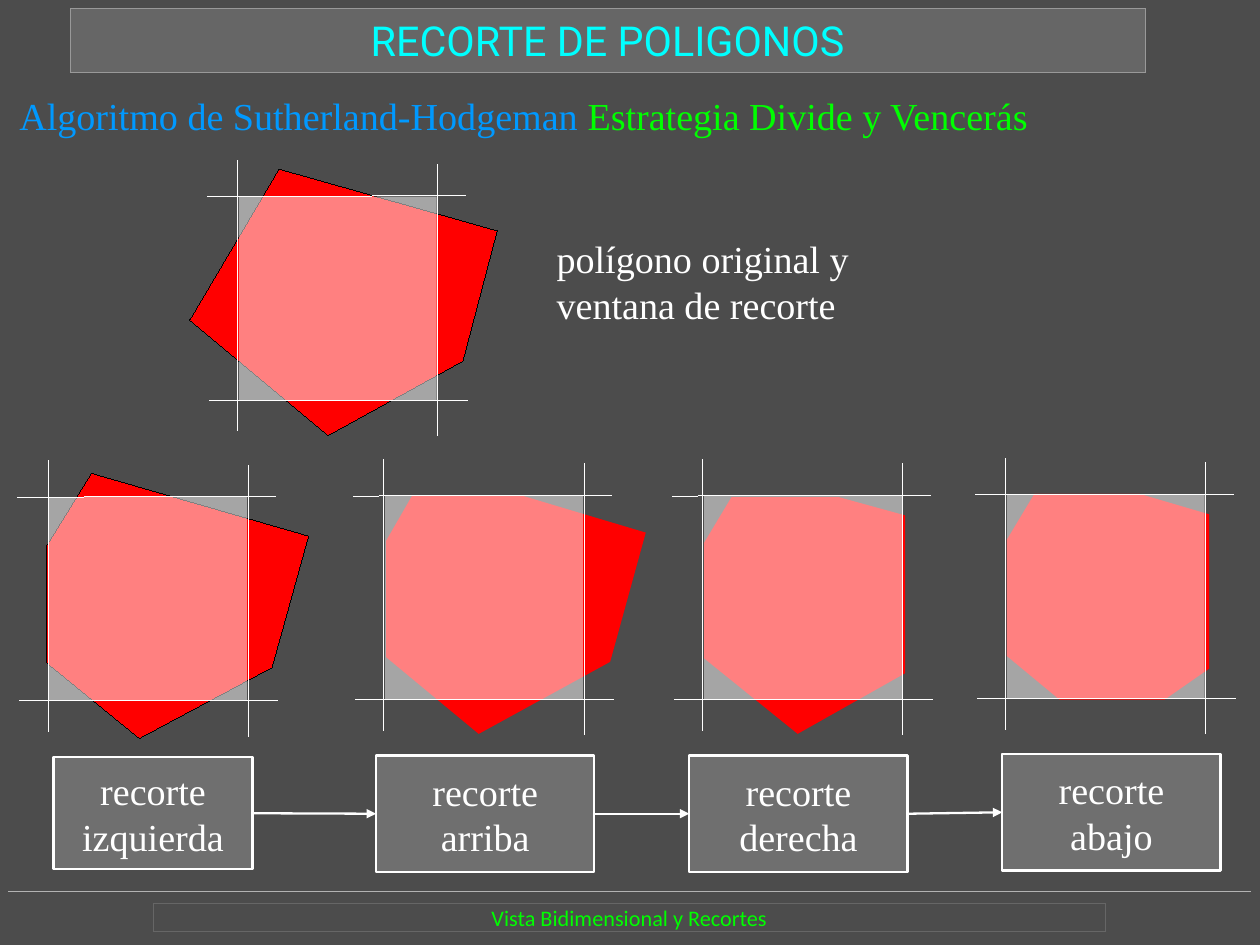
from dataclasses import dataclass

from lxml import etree
from pptx import Presentation
from pptx.dml.color import RGBColor
from pptx.enum.shapes import MSO_CONNECTOR, MSO_SHAPE
from pptx.enum.text import MSO_ANCHOR, PP_ALIGN
from pptx.oxml.ns import qn
from pptx.util import Pt

RECT = MSO_SHAPE.RECTANGLE
LINE = MSO_CONNECTOR.STRAIGHT
LEFT, MID, JUST = PP_ALIGN.LEFT, PP_ALIGN.CENTER, PP_ALIGN.JUSTIFY
TOP, CORE = MSO_ANCHOR.TOP, MSO_ANCHOR.MIDDLE


@dataclass(frozen=True)
class Theme:
    back: str = "4C4C4C"
    panel: str = "666666"
    edge: str = "999999"
    rule: str = "B3B3B3"
    white: str = "FFFFFF"
    black: str = "000000"
    red: str = "FF0000"
    cyan: str = "00FFFF"
    blue: str = "0099FF"
    green: str = "00FF00"
    serif: str = "Times New Roman"
    head: str = "Roboto"
    foot: str = "Calibri"
    big: int = 26
    body: int = 24
    small: int = 14
    hair: float = 0
    bold: float = 1.45


THEME = Theme()
WIN = (124.6, 128.2)

# Clip stages: window corner, polygon measured from that corner, outline
SOURCE = ((150.5, 123.8), [(25.2, -17.3), (162.7, 21.6), (141.1, 103.7),
                           (56.2, 150.5), (-31, 77.8)], THEME.black)
STAGES = [
    ((31, 313.2), [(-1.4, 104.4), (-1.4, 30.2), (26.6, -15.1), (163.4, 24.5),
                   (140.4, 107.3), (56.9, 151.9)], THEME.black),
    ((242.6, 312.5), [(0.7, 101.5), (0.7, 28.1), (17.3, -0.7), (85, -0.7),
                      (164.2, 23), (141.8, 104.4), (59, 149.8)], None),
    ((443.5, 312.5), [(0, 102.2), (0, 29.5), (17.3, 0.7), (85, 0.7),
                      (126.7, 12.2), (126.7, 111.6), (59, 149.8)], None),
    ((634.3, 311.8), [(0, 101.5), (0, 28.1), (17.3, -0.7), (83.5, -0.7),
                      (127.4, 12.2), (127.4, 109.4), (99.4, 128.9),
                      (33.1, 128.9)], None),
]
STEPS = [
    ((33.8, 477, 125.3, 70.6), ["recorte izquierda"]),
    ((236.9, 475.9, 137.5, 73.4), ["recorte", "arriba"]),
    ((434.2, 475.9, 137.5, 73.4), ["recorte", "derecha"]),
    ((631.4, 475, 137.5, 73.4), ["recorte", "abajo"]),
]


def rgb(code):
    return RGBColor.from_string(code)


def pen(shape, color, width):
    shape.line.color.rgb = rgb(color)
    # A hairline needs its zero width written out
    shape.line._get_or_add_ln().set("w", str(int(Pt(width))))


def paint(shape, fill=None, line=None, width=THEME.hair, alpha=None):
    shape.shadow.inherit = False
    if fill:
        shape.fill.solid()
        shape.fill.fore_color.rgb = rgb(fill)
        if alpha:
            tint = shape.fill._xPr.find(".//" + qn("a:srgbClr"))
            etree.SubElement(tint, qn("a:alpha")).set("val", str(alpha * 1000))
    else:
        shape.fill.background()
    if line:
        pen(shape, line, width)
    else:
        shape.line.fill.background()


def rect(slide, box, **look):
    shape = slide.shapes.add_shape(RECT, *map(Pt, box))
    paint(shape, **look)
    return shape


def write(shape, paras, size, font, align, anchor, inset=0):
    """Each paragraph is a list of (text, colour) runs."""
    frame = shape.text_frame
    frame.word_wrap = True
    frame.vertical_anchor = anchor
    frame.margin_left = frame.margin_right = Pt(inset)
    frame.margin_top = frame.margin_bottom = Pt(inset)
    for i, runs in enumerate(paras):
        para = frame.add_paragraph() if i else frame.paragraphs[0]
        para.alignment = align
        for text, color in runs:
            run = para.add_run()
            run.text = text
            run.font.size = Pt(size)
            run.font.name = font
            run.font.color.rgb = rgb(color)


def stroke(slide, start, end, color=THEME.white, width=THEME.hair):
    line = slide.shapes.add_connector(LINE, *map(Pt, (*start, *end)))
    pen(line, color, width)
    etree.SubElement(line._element.spPr, qn("a:effectLst"))
    return line


def note(slide, box, paras, align):
    shape = slide.shapes.add_textbox(*map(Pt, box))
    write(shape, paras, THEME.body, THEME.serif, align, TOP)


def header(slide, box):
    bar = rect(slide, box, fill=THEME.panel, line=THEME.edge)
    write(bar, [[("RECORTE DE POLIGONOS", THEME.cyan)]],
          THEME.big, THEME.head, MID, CORE)


def footer(slide, box):
    x, y, w, h = box
    stroke(slide, (x, y), (x + w, y), THEME.rule)
    bar = rect(slide, (x + 91, y + 7.9, 599.8, h - 7.9), line=THEME.panel)
    write(bar, [[("Vista Bidimensional y Recortes", THEME.green)]],
          THEME.small, THEME.foot, MID, CORE)


def stage(slide, spot, shape, edge):
    x, y = spot
    w, h = WIN
    # Polygon
    first, *rest = [(Pt(x + dx), Pt(y + dy)) for dx, dy in shape]
    build = slide.shapes.build_freeform(*first, scale=1)
    build.add_line_segments(rest, close=True)
    paint(build.convert_to_shape(), fill=THEME.red, line=edge)
    # Window and its guides
    stroke(slide, (x - 18.7, y + h), (x + 144, y + h))
    rect(slide, (x, y, w, h), fill=THEME.white, alpha=50)
    stroke(slide, (x - 0.7, y - 23), (x - 0.7, y + 147.6))
    stroke(slide, (x - 20, y), (x + 142.6, y - 0.5))
    stroke(slide, (x + w + 0.7, y - 20.2), (x + w + 0.7, y + 150.5))


def step(slide, box, words):
    card = rect(slide, box, fill=THEME.white, alpha=20,
                line=THEME.white, width=THEME.bold)
    write(card, [[(word, THEME.white)] for word in words], THEME.body,
          THEME.serif, MID, CORE, inset=0.72)
    return card


def arrow(slide, here, there):
    line = stroke(slide, (0, 0), (1, 1), width=THEME.bold)
    line.begin_connect(here, 3)
    line.end_connect(there, 1)
    tip = etree.SubElement(line.line._get_or_add_ln(), qn("a:tailEnd"))
    tip.set("type", "triangle")


def main():
    deck = Presentation()
    deck.slide_width, deck.slide_height = Pt(793.7), Pt(595.28)
    slide = deck.slides.add_slide(deck.slide_layouts[6])
    slide.background.fill.solid()
    slide.background.fill.fore_color.rgb = rgb(THEME.back)

    footer(slide, (5.5, 561.5, 782, 25.2))
    header(slide, (44.2, 5.5, 677.5, 39.9))

    # Algorithm and starting polygon
    note(slide, (12.2, 58.3, 717.1, 28.8),
         [[("Algoritmo de Sutherland-Hodgeman ", THEME.blue),
           ("Estrategia Divide y Vencerás", THEME.green)]], LEFT)
    stage(slide, *SOURCE)
    note(slide, (350.6, 148.3, 193.7, 57.6),
         [[("polígono original y", THEME.white)],
          [("ventana de recorte", THEME.white)]], JUST)

    # Four clips in turn
    last = None
    for view, (box, words) in zip(STAGES, STEPS):
        stage(slide, *view)
        card = step(slide, box, words)
        if last:
            arrow(slide, last, card)
        last = card

    deck.save("out.pptx")


if __name__ == "__main__":
    main()
